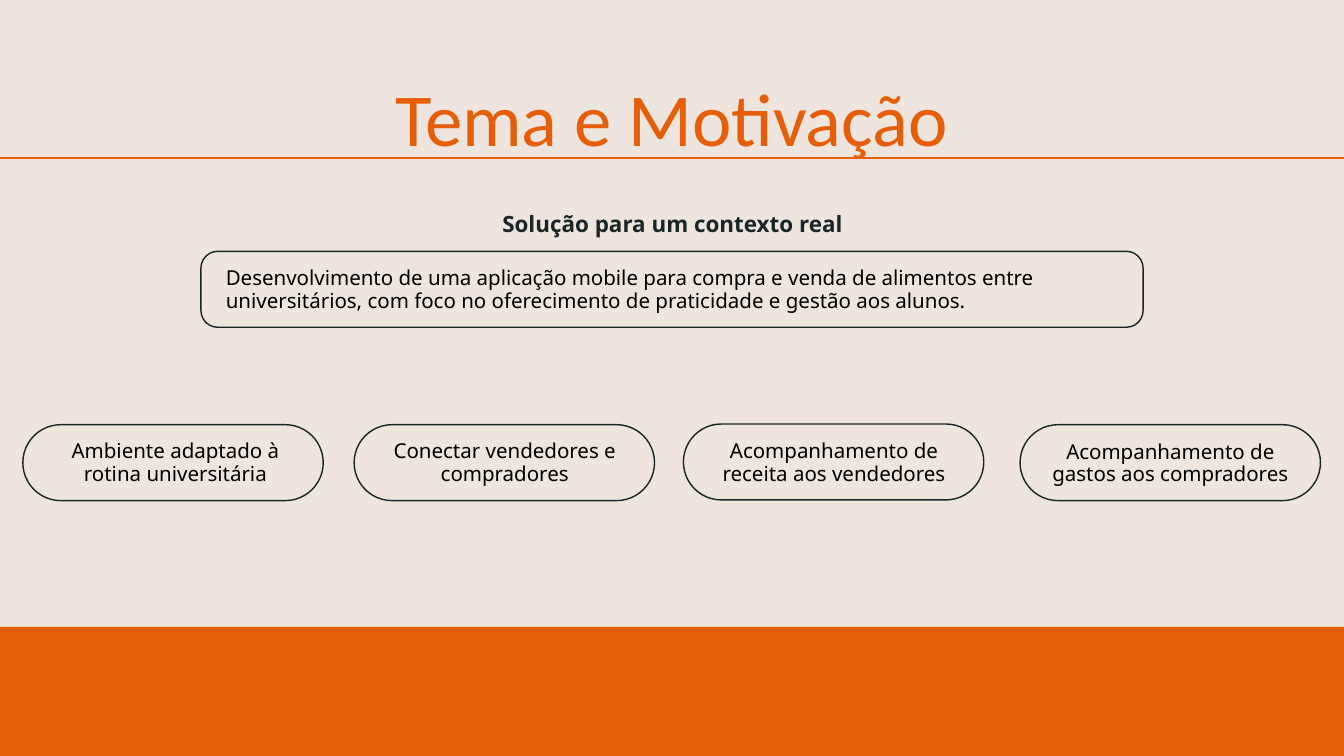
from dataclasses import dataclass

from pptx import Presentation
from pptx import util as u
from pptx.dml.color import RGBColor
from pptx.enum import shapes, text
from pptx.oxml.ns import qn
from lxml import etree


@dataclass(frozen=True)
class Theme:
    background: RGBColor = RGBColor(0xED, 0xE5, 0xDE)
    accent: RGBColor = RGBColor(0xE6, 0x5E, 0x07)
    outline: RGBColor = RGBColor(0x1A, 0x25, 0x26)
    body: RGBColor = RGBColor(0, 0, 0)
    title_font: str = "Calibri"
    body_font: str = "Noto Sans"
    title_size: float = 80
    heading_size: float = 24
    body_size: float = 22
    title_spacing: float = 80.8
    heading_spacing: float = 26.9
    body_spacing: float = 24.6


THEME = Theme()
CARD_HEIGHT = 1.13
PILL_WIDTH = 4.47

# Pill left and top, then label left, top and width, and wording
BENEFITS = [
    (0.34, 6.32, 0.8, 6.54, 3.62, "Ambiente adaptado à rotina universitária"),
    (5.27, 6.32, 5.7, 6.54, 3.62, "Conectar vendedores e compradores"),
    (10.17, 6.31, 10.6, 6.54, 3.62, "Acompanhamento de receita aos vendedores"),
    (15.18, 6.32, 15.49, 6.55, 3.85, "Acompanhamento de gastos aos compradores"),
]


def inches(*lengths):
    return [u.Inches(length) for length in lengths]


def add_band(slide, left, top, width, height):
    shape = slide.shapes.add_shape(
        shapes.MSO_SHAPE.RECTANGLE, *inches(left, top, width, height))
    shape.shadow.inherit = False
    shape.fill.solid()
    shape.fill.fore_color.rgb = THEME.accent
    shape.line.fill.background()


def add_rule(slide, top, width):
    connector = slide.shapes.add_connector(
        shapes.MSO_CONNECTOR.STRAIGHT, *inches(0, top, width, top))
    connector.line.color.rgb = THEME.accent
    connector.line.width = u.Pt(3)
    etree.SubElement(connector.element.spPr, qn("a:effectLst"))


def add_card(slide, left, top, width, rounding):
    shape = slide.shapes.add_shape(
        shapes.MSO_SHAPE.ROUNDED_RECTANGLE, *inches(left, top, width, CARD_HEIGHT))
    shape.adjustments[0] = rounding
    shape.shadow.inherit = False
    shape.fill.background()
    shape.line.color.rgb = THEME.outline
    shape.line.width = u.Pt(1.5)


def add_text(slide, left, top, width, height, wording, size=THEME.body_size,
             spacing=THEME.body_spacing, color=THEME.body, font=THEME.body_font,
             bold=False, align=text.PP_ALIGN.CENTER):
    box = slide.shapes.add_textbox(*inches(left, top, width, height))
    frame = box.text_frame
    frame.margin_left = frame.margin_right = 0
    frame.margin_top = frame.margin_bottom = 0
    frame.word_wrap = True
    frame.auto_size = text.MSO_AUTO_SIZE.SHAPE_TO_FIT_TEXT
    frame.text = wording
    paragraph = frame.paragraphs[0]
    paragraph.alignment = align
    paragraph.line_spacing = u.Pt(spacing)
    for run in paragraph.runs:
        run.font.name = font
        run.font.size = u.Pt(size)
        run.font.bold = bold
        run.font.color.rgb = color


def main():
    presentation = Presentation()
    presentation.slide_width, presentation.slide_height = inches(20, 11.25)
    slide = presentation.slides.add_slide(presentation.slide_layouts[6])
    slide.background.fill.solid()
    slide.background.fill.fore_color.rgb = THEME.background

    # Footer band, title and rule
    add_band(slide, 0, 9.33, 20, 1.92)
    add_text(slide, 1.12, 1.28, 17.75, 1.17, "Tema e Motivação",
             size=THEME.title_size, spacing=THEME.title_spacing,
             color=THEME.accent, font=THEME.title_font)
    add_rule(slide, 2.35, 20)

    # Solution statement
    add_text(slide, 7.47, 3.16, 5.07, 0.38, "Solução para um contexto real",
             size=THEME.heading_size, spacing=THEME.heading_spacing,
             color=THEME.outline, bold=True)
    add_card(slide, 2.99, 3.74, 14.02, rounding=0.22)
    add_text(slide, 3.36, 3.97, 13.55, 0.68,
             "Desenvolvimento de uma aplicação mobile para compra e venda de "
             "alimentos entre universitários, com foco no oferecimento de "
             "praticidade e gestão aos alunos.", align=text.PP_ALIGN.LEFT)

    # Benefit pills
    for left, top, label_left, label_top, label_width, wording in BENEFITS:
        add_card(slide, left, top, PILL_WIDTH, rounding=0.5)
        add_text(slide, label_left, label_top, label_width, 0.68, wording)

    presentation.save("out.pptx")


if __name__ == "__main__":
    main()
